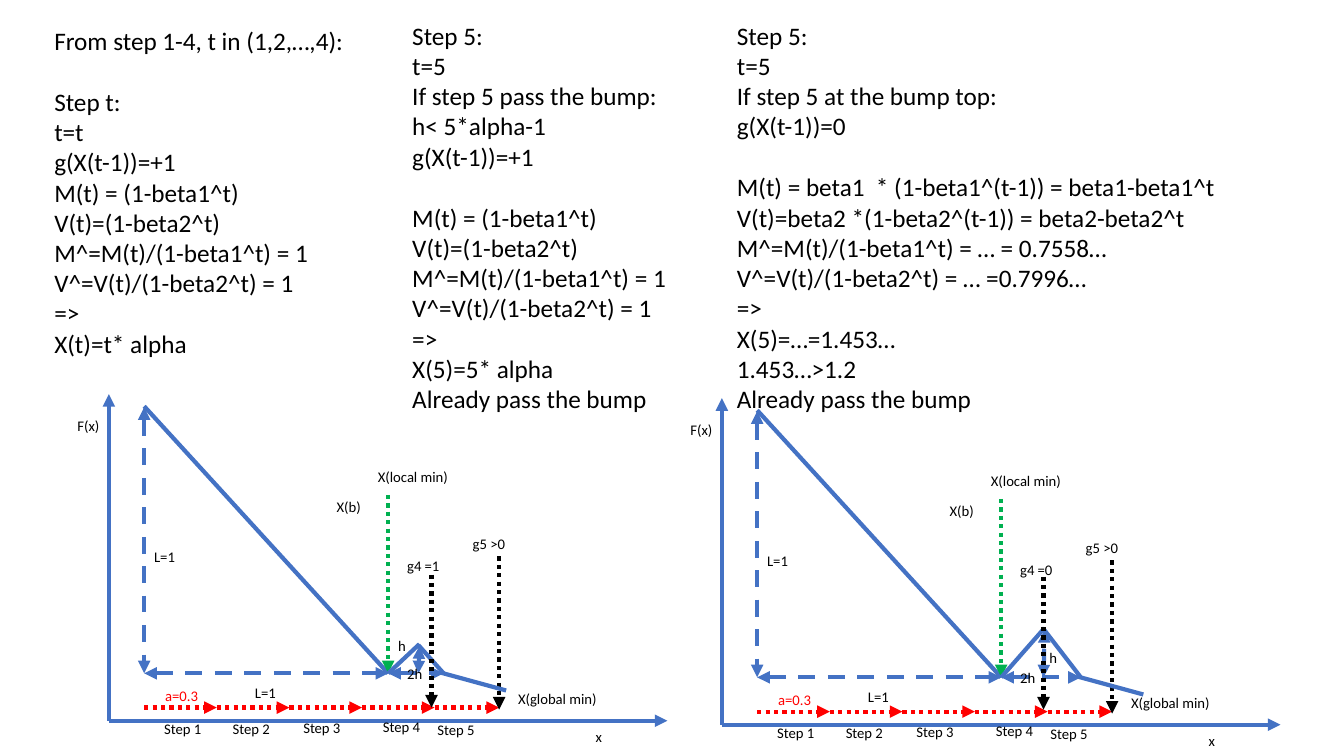
from dataclasses import dataclass

from lxml import etree
from pptx import Presentation
from pptx.dml.color import RGBColor
from pptx.enum.dml import MSO_LINE
from pptx.enum.shapes import MSO_CONNECTOR
from pptx.enum.text import MSO_AUTO_SIZE
from pptx.oxml.ns import qn
from pptx.util import Emu, Pt

STRAIGHT = MSO_CONNECTOR.STRAIGHT
DASH = MSO_LINE.DASH
DOT = MSO_LINE.ROUND_DOT
GROW = MSO_AUTO_SIZE.SHAPE_TO_FIT_TEXT
EMU_PER_PX = 9144
BLUE, RED, GREEN, BLACK = "4472C4", "FF0000", "00B050", "000000"
NOTE_SIZE, LABEL_SIZE = 18, 10.5
BLANK_LINE = 22


@dataclass(frozen=True)
class Label:
    text: str
    left: int
    top: int
    width: int
    height: int = 29
    color: str = BLACK


@dataclass(frozen=True)
class Stroke:
    start: tuple[int, int]
    end: tuple[int, int]
    color: str = BLUE
    dash: MSO_LINE | None = None
    ends: tuple[str, ...] = ()


@dataclass(frozen=True)
class Note:
    left: int
    top: int
    width: int
    height: int
    wrap: bool
    blocks: tuple[str, ...]


@dataclass(frozen=True)
class Plot:
    left: int
    top: int
    peak: tuple[int, int]
    foot: int
    gradient: tuple[int, int]
    height_label: tuple[int, int]
    gradient_text: str


BOTH = ("headEnd", "tailEnd")
FORWARD = ("tailEnd",)

NOTES = (
    Note(44, 20, 310, 343, False, (
        "From step 1-4, t in (1,2,…,4):",
        "Step t:\nt=t\ng(X(t-1))=+1\nM(t) = (1-beta1^t)\nV(t)=(1-beta2^t)\n"
        "M^=M(t)/(1-beta1^t) = 1\nV^=V(t)/(1-beta2^t) = 1\n=>\nX(t)=t* alpha",
    )),
    Note(399, 15, 275, 404, False, (
        "Step 5:\nt=5\nIf step 5 pass the bump:\nh< 5*alpha-1\ng(X(t-1))=+1",
        "M(t) = (1-beta1^t)\nV(t)=(1-beta2^t)\nM^=M(t)/(1-beta1^t) = 1\n"
        "V^=V(t)/(1-beta2^t) = 1\n=>\nX(5)=5* alpha\nAlready pass the bump",
    )),
    Note(721, 15, 539, 404, True, (
        "Step 5:\nt=5\nIf step 5 at the bump top:\ng(X(t-1))=0",
        "M(t) = beta1  * (1-beta1^(t-1)) = beta1-beta1^t\n"
        "V(t)=beta2 *(1-beta2^(t-1)) = beta2-beta2^t\n"
        "M^=M(t)/(1-beta1^t) = … = 0.7558…\nV^=V(t)/(1-beta2^t) = … =0.7996…\n"
        "=>\nX(5)=…=1.453…\n1.453…>1.2\nAlready pass the bump",
    )),
)

PLOTS = (
    Plot(608, 4, (428, 619), 464, (427, 568), (423, 635), "g4 =0"),
    Plot(0, 0, (416, 639), 440, (428, 570), (385, 627), "g4 =1"),
)

STEP_STARTS = [143 + 72 * step for step in range(5)]
STEP_ENDS = STEP_STARTS[1:] + [495]

SHARED_STROKES = (
    Stroke((143, 404), (143, 668), BLUE, DASH, BOTH),
    Stroke((143, 668), (385, 668), BLUE, DASH, BOTH),
    Stroke((143, 403), (385, 668)),
    Stroke((108, 715), (662, 715), ends=FORWARD),
    Stroke((108, 715), (108, 391), ends=FORWARD),
    Stroke((385, 491), (385, 668), GREEN, DOT, FORWARD),
    *(Stroke((start, 702), (end, 702), RED, DOT, FORWARD)
      for start, end in zip(STEP_STARTS, STEP_ENDS)),
    Stroke((495, 552), (495, 704), BLACK, DOT, FORWARD),
)

STEP_PLACES = ((153, 709), (221, 709), (291, 708), (370, 707), (424, 710))

SHARED_LABELS = (
    Label("L=1", 243, 673, 42),
    Label("L=1", 143, 539, 42),
    Label("2h", 394, 655, 36),
    Label("F(x)", 67, 409, 43),
    Label("x", 581, 717, 27),
    Label("X(b)", 324, 489, 46),
    Label("X(local min)", 365, 459, 94),
    Label("X(global min)", 504, 679, 103),
    Label("a=0.3", 154, 676, 55, color=RED),
    Label("g5 >0", 459, 526, 53, 28),
    *(Label(f"Step {number}", left, top, 59)
      for number, (left, top) in enumerate(STEP_PLACES, 1)),
)


def px(length: int) -> Emu:
    return Emu(length * EMU_PER_PX)


def rgb(color: str) -> RGBColor:
    return RGBColor.from_string(color)


def apply(target, values: dict) -> None:
    for name, value in values.items():
        setattr(target, name, value)


def add_text(page, label: Label, size: float, wrap: bool = False):
    box = page.shapes.add_textbox(
        px(label.left), px(label.top), px(label.width), px(label.height))
    frame = box.text_frame
    apply(frame, {"text": label.text, "word_wrap": wrap, "auto_size": GROW})
    for para in frame.paragraphs:
        for span in para.runs:
            apply(span.font, {"name": "Calibri", "size": Pt(size)})
            span.font.color.rgb = rgb(label.color)
    return frame


def add_note(page, note: Note) -> None:
    label = Label("\n".join(note.blocks), note.left, note.top, note.width, note.height)
    frame = add_text(page, label, NOTE_SIZE, note.wrap)
    second_block = len(note.blocks[0].split("\n"))
    frame.paragraphs[second_block].space_before = Pt(BLANK_LINE)


def add_stroke(page, stroke: Stroke, left: int, top: int) -> None:
    (x1, y1), (x2, y2) = stroke.start, stroke.end
    connector = page.shapes.add_connector(
        STRAIGHT, px(x1 + left), px(y1 + top), px(x2 + left), px(y2 + top))
    line = connector.line
    line.color.rgb = rgb(stroke.color)
    apply(line, {"width": Pt(3), "dash_style": stroke.dash})
    properties = connector._element.spPr
    outline = properties.find(qn("a:ln"))
    for end in stroke.ends:
        etree.SubElement(outline, qn(f"a:{end}"), type="triangle")
    etree.SubElement(properties, qn("a:effectLst"))


def bump_strokes(plot: Plot) -> tuple[Stroke, ...]:
    peak_x, peak_y = plot.peak
    gradient_x, gradient_top = plot.gradient
    return (
        Stroke((385, 668), (plot.foot, 668), BLUE, DASH, BOTH),
        Stroke((385, 668), plot.peak),
        Stroke((plot.foot, 668), (peak_x - 1, peak_y + 1)),
        Stroke((peak_x - 1, 668), (peak_x, peak_y + 2), BLUE, DASH, BOTH),
        Stroke((plot.foot + 62, 685), (plot.foot - 4, 667)),
        Stroke(plot.gradient, (gradient_x, gradient_top + 132), BLACK, DOT, FORWARD),
    )


def add_plot(page, plot: Plot) -> None:
    for stroke in SHARED_STROKES + bump_strokes(plot):
        add_stroke(page, stroke, plot.left, plot.top)
    bump_labels = (
        Label("h", *plot.height_label, 28),
        Label(plot.gradient_text, 394, 547, 53, 28),
    )
    for label in SHARED_LABELS + bump_labels:
        moved = Label(label.text, label.left + plot.left, label.top + plot.top,
                      label.width, label.height, label.color)
        add_text(page, moved, LABEL_SIZE)


def main() -> None:
    deck = Presentation()
    apply(deck, {"slide_width": px(1333), "slide_height": px(750)})
    page = deck.slides.add_slide(deck.slide_layouts[6])
    for note in NOTES:
        add_note(page, note)
    for plot in PLOTS:
        add_plot(page, plot)
    deck.save("out.pptx")


if __name__ == "__main__":
    main()
